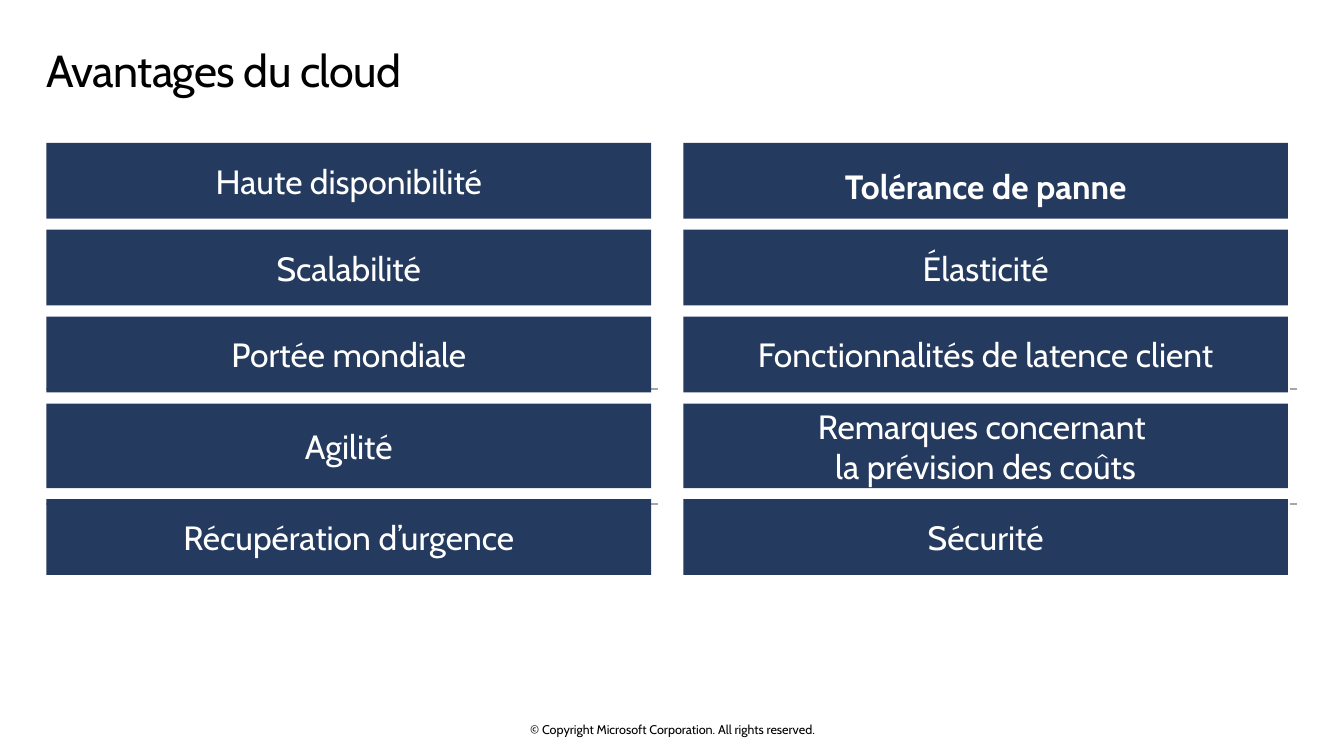
"""Build the slide listing the advantages of the cloud."""
import pptx
import pptx.dml.color
import pptx.enum.dml
import pptx.enum.shapes
import pptx.enum.text
import pptx.oxml
import pptx.oxml.ns
import pptx.util
from pptx.util import Cm

ALIGN = pptx.enum.text.PP_ALIGN
ANCHOR = pptx.enum.text.MSO_ANCHOR

ADVANTAGES = [
    ("Haute disponibilité", "Tolérance de panne"),
    ("Scalabilité", "Élasticité"),
    ("Portée mondiale", "Fonctionnalités de latence client"),
    ("Agilité", "Remarques concernant \vla prévision des coûts"),
    ("Récupération d’urgence", "Sécurité"),
]
ROW_HEIGHTS = [1.91, 1.91, 1.91, 2.13, 1.91]
COLUMN_LEFTS = [1.17, 17.22]
COLUMN_WIDTH = 15.24
FIRST_TOP = 3.6
ROW_GAP = 0.28
GUIDE_SPANS = [(1.17, 16.66), (17.3, 32.69)]
GUIDE_TOPS = [9.8, 12.7]
BOLD_ADVANTAGE = "Tolérance de panne"


def colour(value):
    """Return the colour for a hex string."""
    return pptx.dml.color.RGBColor.from_string(value)


def apply_format(target, values):
    """Set each attribute named in a dict of format values."""
    for name, value in values.items():
        setattr(target, name, value)


def write_text(box, text, size, tint, margins, anchor, align, bold=False):
    """Write one formatted paragraph in a box and return it."""
    left, top, right, bottom = (Cm(margin) for margin in margins)
    apply_format(box.text_frame, {
        "word_wrap": True, "vertical_anchor": anchor,
        "margin_left": left, "margin_top": top,
        "margin_right": right, "margin_bottom": bottom,
    })
    para = box.text_frame.paragraphs[0]
    para.text = text
    para.alignment = align
    for span in para.runs:
        apply_format(span.font, {"name": "Cabin", "size": pptx.util.Pt(size), "bold": bold})
        span.font.color.rgb = colour(tint)
    return para


def add_guide(page, start, end, top):
    """Draw a dashed horizontal guide line."""
    guide = page.shapes.add_connector(
        pptx.enum.shapes.MSO_CONNECTOR.STRAIGHT, Cm(start), Cm(top), Cm(end), Cm(top))
    apply_format(guide.line, {
        "width": pptx.util.Pt(1.5), "dash_style": pptx.enum.dml.MSO_LINE.DASH})
    guide.line.color.rgb = colour("A6A6A6")
    properties = guide.element.find(pptx.oxml.ns.qn("p:spPr"))
    properties.append(pptx.oxml.parse_xml(
        f"<a:effectLst {pptx.oxml.ns.nsdecls('a')}/>"))


def add_title(page, text):
    """Add the slide title with slightly tightened letters."""
    box = page.shapes.add_textbox(Cm(1.17), Cm(1.24), Cm(31.5), Cm(1.88))
    para = write_text(box, text, 32, "000000", (0, 0, 0.41, 0), ANCHOR.TOP, ALIGN.LEFT)
    para.line_spacing = 0.9
    para.runs[0].font._element.set("spc", "-50")


def add_footer(page, text):
    """Add the centred copyright line."""
    box = page.shapes.add_textbox(Cm(11.23), Cm(18.19), Cm(11.43), Cm(0.38))
    write_text(box, text, 9, "000000", (0, 0, 0, 0), ANCHOR.MIDDLE, ALIGN.CENTER)


def add_advantage(page, text, left, top, height):
    """Add one filled rectangle naming an advantage."""
    box = page.shapes.add_shape(
        pptx.enum.shapes.MSO_SHAPE.RECTANGLE, Cm(left), Cm(top), Cm(COLUMN_WIDTH), Cm(height))
    box.shadow.inherit = False
    box.fill.solid()
    box.fill.fore_color.rgb = colour("243A5E")
    box.line.fill.background()
    bold = text == BOLD_ADVANTAGE
    margins = (0.25, 0.5 if bold else 0.25, 0.25, 0.25)
    write_text(box, text, 24, "FFFFFF", margins, ANCHOR.MIDDLE, ALIGN.CENTER, bold)


def main():
    """Create the deck and save it."""
    deck = pptx.Presentation()
    apply_format(deck, {"slide_width": Cm(33.87), "slide_height": Cm(19.05)})
    page = deck.slides.add_slide(deck.slide_layouts[6])
    for start, end in GUIDE_SPANS:
        for top in GUIDE_TOPS:
            add_guide(page, start, end, top)
    add_footer(page, "© Copyright Microsoft Corporation. All rights reserved.")
    add_title(page, "Avantages du cloud")
    top = FIRST_TOP
    for names, height in zip(ADVANTAGES, ROW_HEIGHTS):
        for name, left in zip(names, COLUMN_LEFTS):
            add_advantage(page, name, left, top, height)
        top += height + ROW_GAP
    deck.save("out.pptx")


if __name__ == "__main__":
    main()
